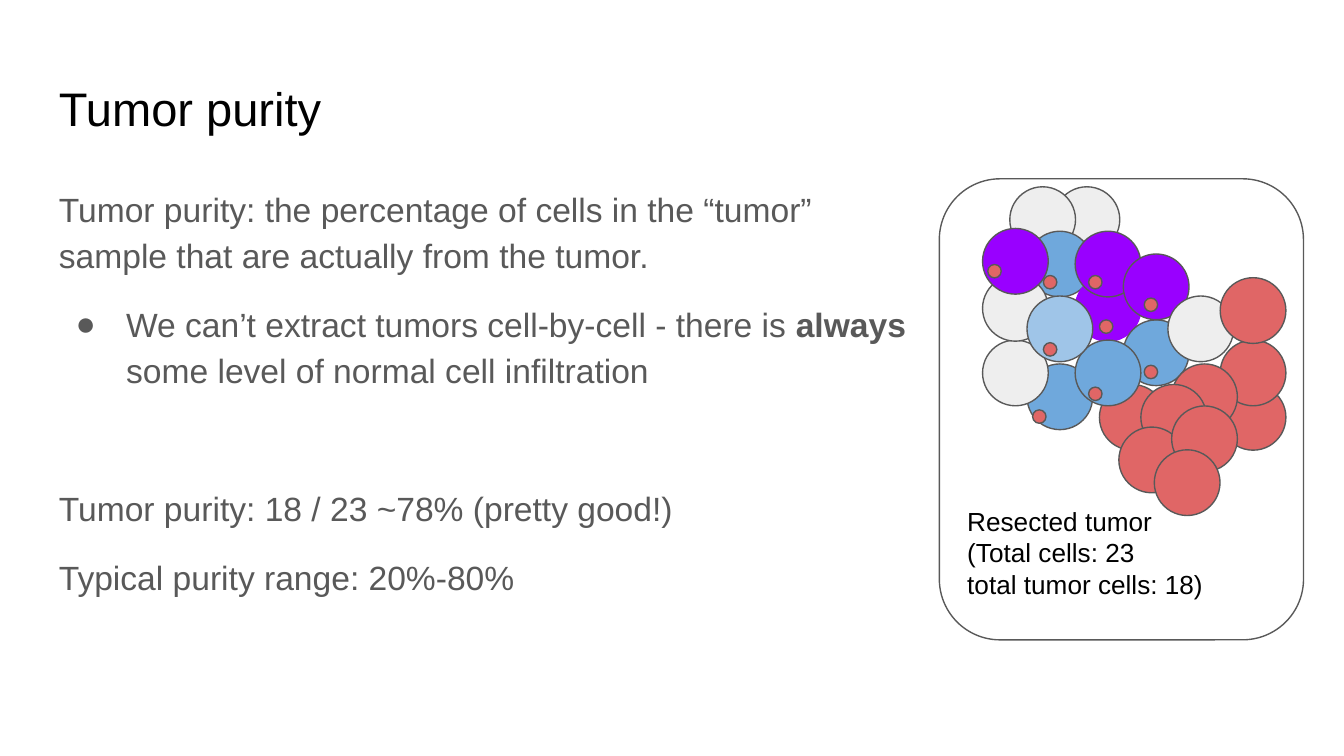
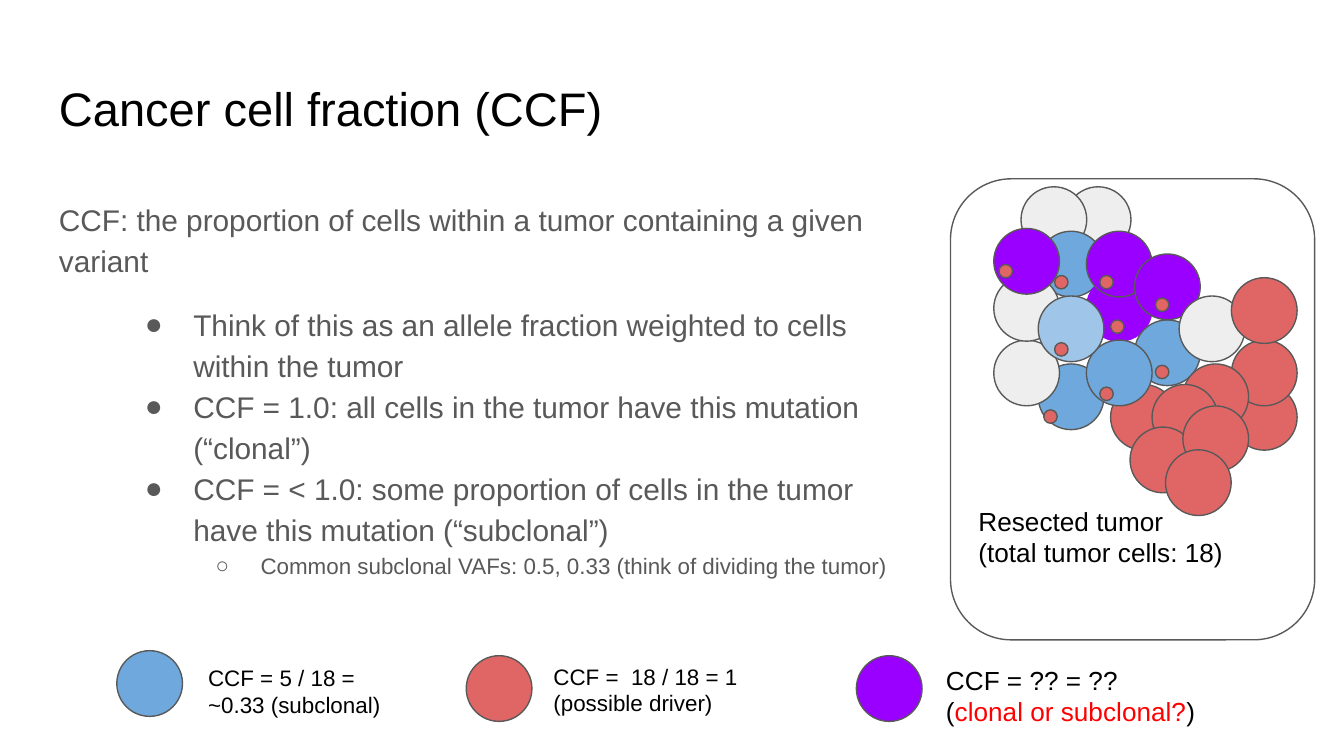
from dataclasses import dataclass
from typing import NamedTuple

from lxml import etree
from pptx import Presentation
from pptx.dml.color import RGBColor
from pptx.enum.shapes import MSO_SHAPE
from pptx.enum.text import MSO_ANCHOR, MSO_AUTO_SIZE
from pptx.oxml.ns import qn
from pptx.util import Pt

COLORS = {
    "text": "000000",
    "body": "595959",
    "outline": "595959",
    "red": "E06666",
    "gray": "EEEEEE",
    "blue": "6FA8DC",
    "light_blue": "9FC5E8",
    "purple": "9900FF",
    "alert": "FF0000",
}
FONT = "Arial"
INSET = 7.2
CELL_SIZE = 35.2
DOT_SIZE = 7.2
PANEL_TOP = 95.8
PANEL_SIZE = (195.1, 247)


class Box(NamedTuple):
    """Left, top, width and height in points."""
    x: float
    y: float
    w: float
    h: float


class Cell(NamedTuple):
    """A cell, placed from the top left corner of the tumor panel."""
    x: float
    y: float
    color: str
    outline: str = "outline"


@dataclass
class Run:
    """A piece of text with its own weight or color."""
    text: str
    bold: bool = False
    color: str | None = None


@dataclass
class Para:
    """A paragraph; lengths in points."""
    runs: list[Run]
    size: float | None = None
    bullet: str | None = None
    margin: float = 0
    indent: float = 0
    before: float = 0
    after: float = 0
    level: int = 0


@dataclass
class LegendItem:
    """A colored cell with the text that explains it."""
    x: float
    y: float
    color: str
    box: Box
    paras: list[Para]
    size: float = 12


# Back to front
CELLS = [
    Cell(150.5, 110.2, "red"),
    Cell(150.5, 86.4, "red"),
    Cell(61.5, 4.3, "gray"),
    Cell(37.8, 4.3, "gray"),
    Cell(47, 28.1, "blue"),
    Cell(72.8, 51.8, "purple", "purple"),
    Cell(98.6, 75.6, "blue"),
    Cell(124.5, 99.2, "red"),
    Cell(85.8, 110.2, "red"),
    Cell(47, 99.2, "blue"),
    Cell(23.2, 86.4, "gray"),
    Cell(72.8, 86.4, "blue"),
    Cell(23.2, 51.8, "gray"),
    Cell(72.8, 28.1, "purple"),
    Cell(47, 62.8, "light_blue"),
    Cell(23.2, 26.6, "purple"),
    Cell(98.6, 40.3, "purple"),
    Cell(122.5, 62.8, "gray"),
    Cell(108, 110.2, "red"),
    Cell(96.2, 133, "red"),
    Cell(124.5, 121.7, "red"),
    Cell(115.2, 145.2, "red"),
    Cell(150.5, 53, "red"),
]

# Left and top of each mutation mark within the panel
MUTATIONS = [
    (80, 111.6), (50, 123.8), (109.8, 99.9), (109.8, 63.9), (55.8, 87.8),
    (85.8, 75.6), (80, 51.8), (26, 45.9), (55.8, 51.8),
]


def rgb(name: str) -> RGBColor:
    """Return a named color."""
    return RGBColor.from_string(COLORS[name])


def plain(text: str, **fmt) -> Para:
    """Return a paragraph of one run."""
    return Para([Run(text)], **fmt)


def add_bullet(p, para: Para, color: str) -> None:
    """Give a paragraph its hanging indent and bullet sign."""
    pPr = p._p.get_or_add_pPr()
    pPr.set("marL", str(Pt(para.margin)))
    pPr.set("indent", str(Pt(para.indent)))
    clr = etree.SubElement(pPr, qn("a:buClr"))
    etree.SubElement(clr, qn("a:srgbClr")).set("val", COLORS[color])
    etree.SubElement(pPr, qn("a:buFont")).set("typeface", FONT)
    etree.SubElement(pPr, qn("a:buChar")).set("char", para.bullet)


def add_text(s, box: Box, paras: list[Para], *, size: float = 14,
             color: str = "text", spacing: float = 1.0, grow: bool = False,
             anchor: MSO_ANCHOR = MSO_ANCHOR.TOP) -> None:
    """Add a wrapped text box with formatted paragraphs."""
    sp = s.shapes.add_textbox(*map(Pt, box))
    tf = sp.text_frame
    tf.word_wrap = True
    tf.auto_size = MSO_AUTO_SIZE.SHAPE_TO_FIT_TEXT if grow else MSO_AUTO_SIZE.NONE
    tf.vertical_anchor = anchor
    tf.margin_left = tf.margin_right = Pt(INSET)
    tf.margin_top = tf.margin_bottom = Pt(INSET)
    for i, para in enumerate(paras):
        p = tf.add_paragraph() if i else tf.paragraphs[0]
        p.level = para.level
        p.line_spacing = spacing
        p.space_before = Pt(para.before)
        p.space_after = Pt(para.after)
        if para.bullet:
            add_bullet(p, para, color)
        for run in para.runs:
            r = p.add_run()
            r.text = run.text
            r.font.name = FONT
            r.font.size = Pt(para.size or size)
            r.font.bold = run.bold
            r.font.color.rgb = rgb(run.color or color)


def add_outlined(s, kind: MSO_SHAPE, box: Box, fill: str | None = None,
                 outline: str = "outline"):
    """Add a thinly outlined shape, filled or hollow."""
    sp = s.shapes.add_shape(kind, *map(Pt, box))
    sp.shadow.inherit = False
    if fill:
        sp.fill.solid()
        sp.fill.fore_color.rgb = rgb(fill)
    else:
        sp.fill.background()
    sp.line.color.rgb = rgb(outline)
    sp.line.width = Pt(0.75)
    return sp


def add_circle(s, x: float, y: float, size: float, fill: str,
               outline: str = "outline") -> None:
    """Add a circle by its top left corner."""
    add_outlined(s, MSO_SHAPE.OVAL, Box(x, y, size, size), fill, outline)


def add_tumor_panel(s, left: float, caption: list[str], height: float) -> None:
    """Draw the resected tumor: frame, cells, caption and mutations."""
    frame = add_outlined(s, MSO_SHAPE.ROUNDED_RECTANGLE,
                         Box(left, PANEL_TOP, *PANEL_SIZE))
    frame.adjustments[0] = 0.167
    for cell in CELLS:
        add_circle(s, left + cell.x, PANEL_TOP + cell.y, CELL_SIZE,
                   cell.color, cell.outline)
    add_text(s, Box(left + 7.9, PANEL_TOP + 167.8, 177.8, height),
             [plain(line) for line in caption], grow=True)
    for x, y in MUTATIONS:
        add_circle(s, left + x, PANEL_TOP + y, DOT_SIZE, "red")


def add_content_slide(prs, title: str, body_box: Box, body: list[Para],
                      size: float):
    """Add a blank slide with the shared title and body style."""
    s = prs.slides.add_slide(prs.slide_layouts[6])
    add_text(s, Box(24.5, 35.3, 671, 45.4), [plain(title)], size=25.2)
    add_text(s, body_box, body, size=size, color="body", spacing=1.15)
    return s


def add_legend(s, items: list[LegendItem]) -> None:
    """Draw the cell legend along the bottom."""
    for item in items:
        add_circle(s, item.x, item.y, CELL_SIZE, item.color)
        add_text(s, item.box, item.paras, size=item.size, grow=True)


def build_purity(prs) -> None:
    """Build the tumor purity slide."""
    body = [
        plain("Tumor purity: the percentage of cells in the “tumor” sample "
              "that are actually from the tumor."),
        Para([Run("We can’t extract tumors cell-by-cell - there is "),
              Run("always", bold=True),
              Run(" some level of normal cell infiltration")],
             bullet="●", margin=36, indent=-27, before=12),
        plain("Tumor purity: 18 / 23 ~78% (pretty good!)", before=49),
        plain("Typical purity range: 20%-80%", before=12, after=12),
    ]
    s = add_content_slide(prs, "Tumor purity", Box(24.5, 90.7, 479.5, 269.3),
                          body, 18)
    add_tumor_panel(s, 503.2, ["Resected tumor", "(Total cells: 23",
                               "total tumor cells: 18)"], 65.5)


def build_ccf(prs) -> None:
    """Build the cancer cell fraction slide."""
    points = [
        "Think of this as an allele fraction weighted to cells within the tumor",
        "CCF = 1.0: all cells in the tumor have this mutation (“clonal”)",
        "CCF = < 1.0: some proportion of cells in the tumor have this mutation "
        "(“subclonal”)",
    ]
    body = [
        plain("CCF: the proportion of cells within a tumor containing a given "
              "variant"),
        *[plain(text, bullet="●", margin=72, indent=-26, before=0 if i else 12)
          for i, text in enumerate(points)],
        plain("Common subclonal VAFs: 0.5, 0.33 (think of dividing the tumor)",
              size=12, bullet="○", margin=108, indent=-24, level=1),
    ]
    s = add_content_slide(prs, "Cancer cell fraction (CCF)",
                          Box(24.5, 97.9, 469.4, 269.3), body, 16)
    add_tumor_panel(s, 509.2, ["Resected tumor", "(total tumor cells: 18)"], 48.2)
    add_legend(s, [
        LegendItem(62.6, 348.6, "blue", Box(104.4, 348.5, 121.7, 43.9),
                   [plain("CCF = 5 / 18 = ~0.33 (subclonal)")]),
        LegendItem(249.8, 351.3, "red", Box(289.4, 347.8, 118.8, 43.9),
                   [plain("CCF =  18 / 18 = 1 (possible driver)")]),
        LegendItem(458.8, 351.3, "purple", Box(499.7, 348.5, 159.1, 48.2),
                   [plain("CCF = ?? = ??"),
                    Para([Run("("), Run("clonal or subclonal?", color="alert"),
                          Run(")")])], size=14),
    ])


def main() -> None:
    """Build and save the presentation."""
    prs = Presentation()
    prs.slide_width, prs.slide_height = Pt(720), Pt(405)
    build_purity(prs)
    build_ccf(prs)
    prs.save("out.pptx")


main()
